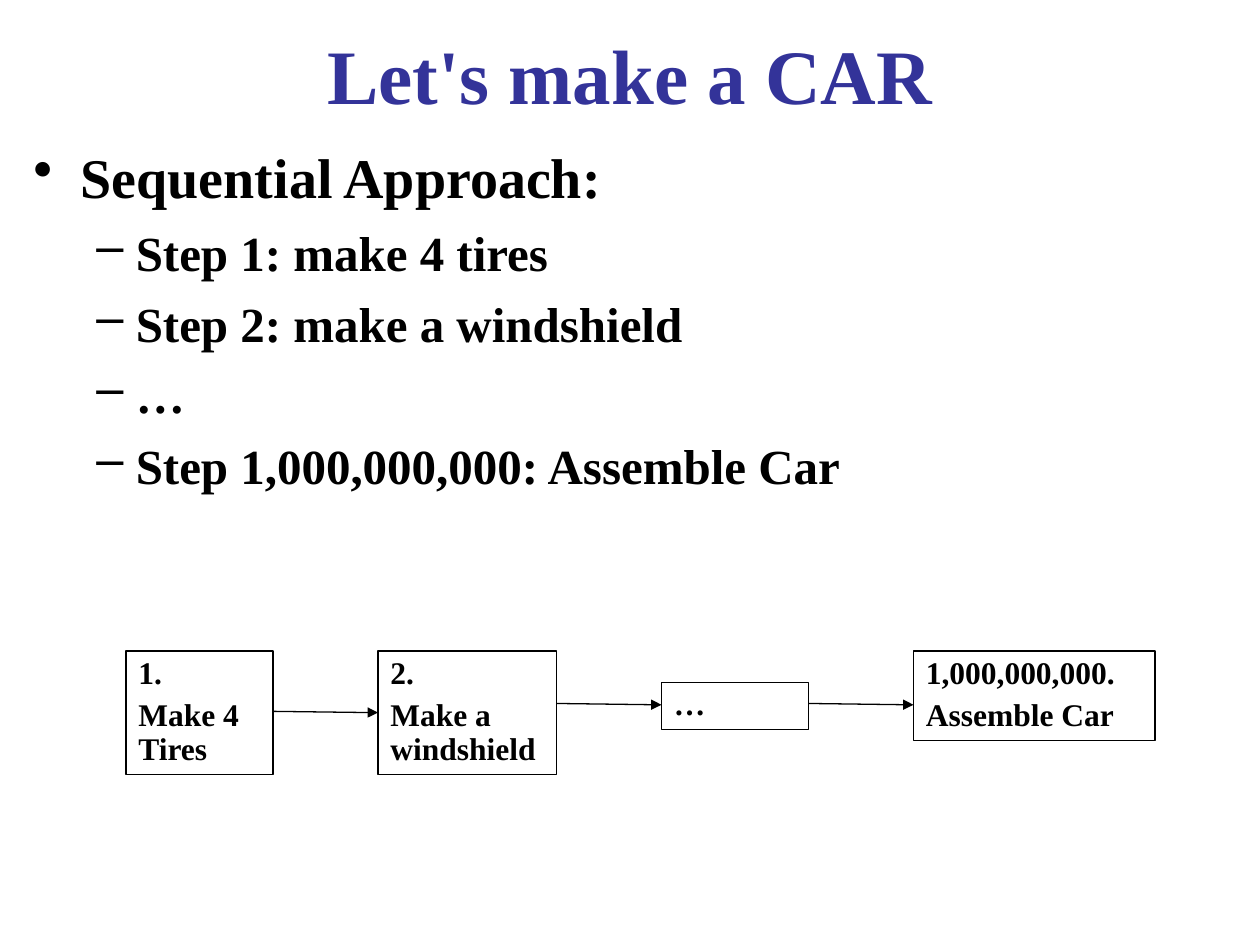
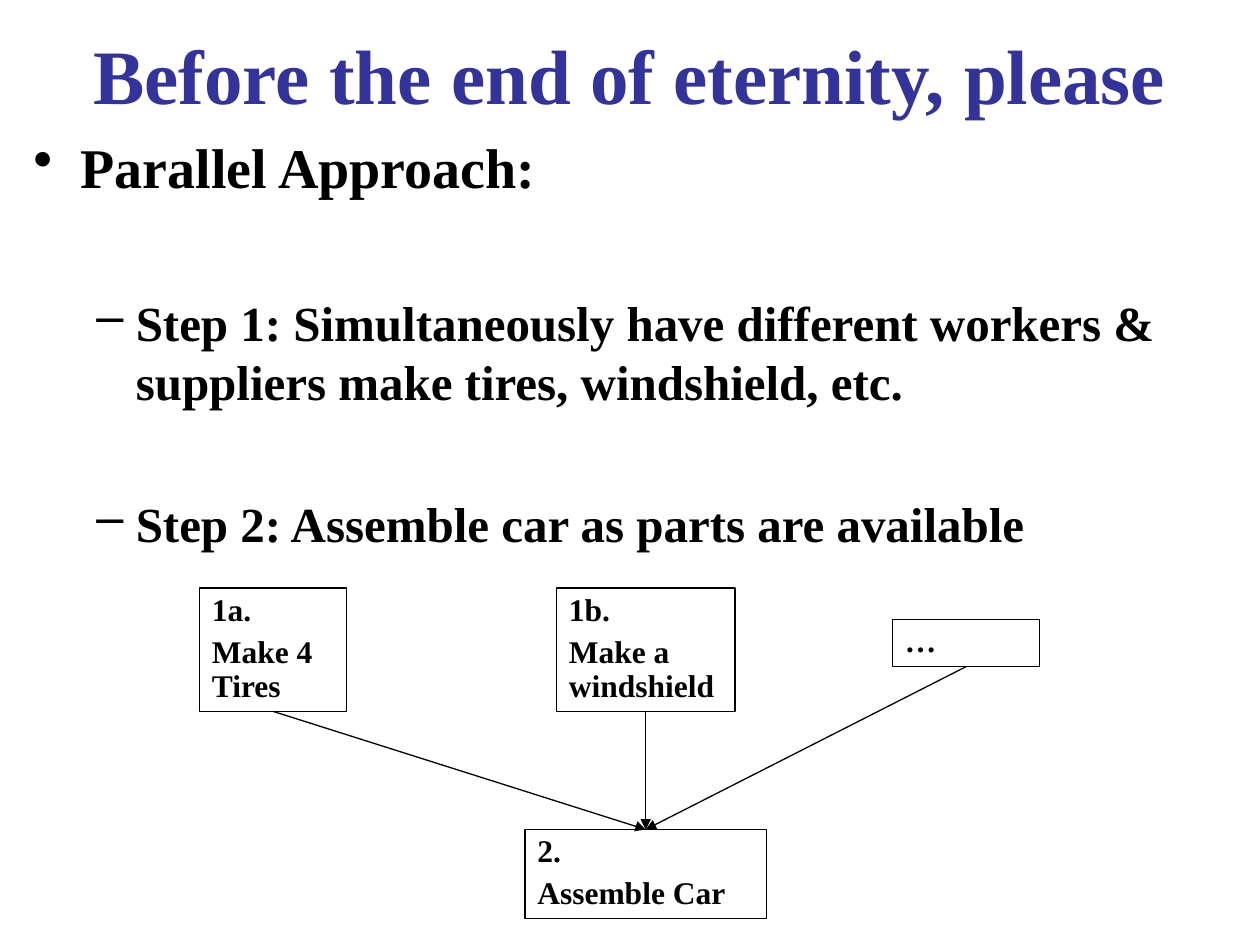
"""Build two slides that compare sequential and parallel car making."""
from typing import NamedTuple

from lxml.etree import SubElement
from pptx import Presentation
from pptx.dml.color import RGBColor
from pptx.enum.shapes import MSO_CONNECTOR as CONN, MSO_SHAPE as SHAPE
from pptx.enum.text import MSO_ANCHOR as ANCHOR, MSO_AUTO_SIZE as FIT, PP_ALIGN as ALIGN
from pptx.oxml.ns import qn
from pptx.util import Pt

PX = 9525
FONT = "Times New Roman"
BLACK = RGBColor(0x00, 0x00, 0x00)
INDIGO = RGBColor(0x33, 0x33, 0x99)
MARGIN, TITLE_TOP, TEXT_W, TITLE_H, BODY_BOTTOM = 16, 16, 928, 80, 704
LINE_RATIO = 1.2


class Level(NamedTuple):
    size: int
    before: int
    left: int
    hanging: int
    bullet: str


LEVELS = (Level(32, 8, 36, 36, "•"), Level(28, 7, 78, 30, "–"))


class Item(NamedTuple):
    text: str
    level: int = 1
    gap_level: int | None = None


class Step(NamedTuple):
    x: int
    y: int
    w: int
    h: int
    lines: tuple[str, ...]

    @property
    def right(self) -> int:
        return self.x + self.w

    @property
    def center(self) -> int:
        return self.x + self.w // 2

    @property
    def bottom(self) -> int:
        return self.y + self.h


def tires(x: int, y: int, number: str) -> Step:
    return Step(x, y, 112, 94, (number, "Make 4 Tires"))


def windshield(x: int, y: int, number: str) -> Step:
    return Step(x, y, 136, 94, (number, "Make a windshield"))


def more(x: int, y: int) -> Step:
    return Step(x, y, 112, 36, ("…",))


def assembly(x: int, y: int, number: str) -> Step:
    return Step(x, y, 184, 68, (number, "Assemble Car"))


def style(p, size: int, color: RGBColor = BLACK) -> None:
    for r in p.runs:
        r.font.name = FONT
        r.font.size = Pt(size)
        r.font.bold = True
        r.font.color.rgb = color


def add_bullet(p, level: Level) -> None:
    pPr = p._p.get_or_add_pPr()
    pPr.set("marL", str(level.left * PX))
    pPr.set("indent", str(-level.hanging * PX))
    color = SubElement(pPr, qn("a:buClr"))
    SubElement(color, qn("a:srgbClr")).set("val", str(BLACK))
    SubElement(pPr, qn("a:buChar")).set("char", level.bullet)


def add_text_box(s, y: int, h: int):
    tf = s.shapes.add_textbox(MARGIN * PX, y * PX, TEXT_W * PX, h * PX).text_frame
    tf.word_wrap = True
    return tf


def add_title(s, text: str) -> None:
    tf = add_text_box(s, TITLE_TOP, TITLE_H)
    tf.vertical_anchor = ANCHOR.MIDDLE
    tf.text = text
    p = tf.paragraphs[0]
    p.alignment = ALIGN.CENTER
    style(p, 44, INDIGO)


def add_body(s, top: int, items: tuple[Item, ...]) -> None:
    tf = add_text_box(s, top, BODY_BOTTOM - top)
    tf.text = "\n".join(item.text for item in items)
    for p, item in zip(tf.paragraphs, items):
        level = LEVELS[item.level]
        before = level.before
        if item.gap_level is not None:
            gap = LEVELS[item.gap_level]
            before += gap.size * LINE_RATIO + gap.before
        p.level = item.level
        p.space_before = Pt(before)
        add_bullet(p, level)
        style(p, level.size)


def add_step(s, step: Step) -> None:
    sp = s.shapes.add_shape(SHAPE.RECTANGLE, *(n * PX for n in step[:4]))
    sp.shadow.inherit = False
    sp.fill.background()
    sp.line.color.rgb = BLACK
    sp.line.width = Pt(0.75)
    tf = sp.text_frame
    tf.word_wrap = True
    tf.auto_size = FIT.SHAPE_TO_FIT_TEXT
    tf.vertical_anchor = ANCHOR.TOP
    tf.text = "\n".join(step.lines)
    for p in tf.paragraphs:
        p.alignment = ALIGN.LEFT
        p.line_spacing = 0.9
        p.space_before = Pt(4.5)
        style(p, 18)


def add_arrow(s, x1: int, y1: int, x2: int, y2: int) -> None:
    c = s.shapes.add_connector(CONN.STRAIGHT, *(n * PX for n in (x1, y1, x2, y2)))
    c.line.color.rgb = BLACK
    c.line.width = Pt(0.75)
    SubElement(c.line._get_or_add_ln(), qn("a:tailEnd")).set("type", "triangle")
    SubElement(c._element.spPr, qn("a:effectLst"))


def add_slide(prs, title: str, body_top: int, items: tuple[Item, ...], steps: tuple[Step, ...]):
    s = prs.slides.add_slide(prs.slide_layouts[6])
    add_title(s, title)
    add_body(s, body_top, items)
    for step in steps:
        add_step(s, step)
    return s


def build_sequential(prs) -> None:
    items = (
        Item("Sequential Approach:", 0),
        Item("Step 1: make 4 tires"),
        Item("Step 2: make a windshield"),
        Item("…"),
        Item("Step 1,000,000,000: Assemble Car"),
    )
    steps = (
        tires(96, 496, "1."),
        windshield(288, 496, "2."),
        more(504, 520),
        assembly(696, 496, "1,000,000,000."),
    )
    s = add_slide(prs, "Let's make a CAR", 104, items, steps)
    for step, following, y in zip(steps, steps[1:], (542, 536, 536)):
        add_arrow(s, step.right, y, following.x, y + 1)


def build_parallel(prs) -> None:
    items = (
        Item("Parallel Approach:", 0),
        Item("Step 1: Simultaneously have different workers & suppliers "
             "make tires, windshield, etc.", gap_level=0),
        Item("Step 2: Assemble car as parts are available", gap_level=1),
    )
    parts = (tires(152, 448, "1a."), windshield(424, 448, "1b."), more(680, 472))
    goal = assembly(400, 632, "2.")
    s = add_slide(prs, "Before the end of eternity, please", 96, items, (*parts, goal))
    for part in parts:
        add_arrow(s, part.center, part.bottom, goal.center, goal.y)


def main() -> None:
    prs = Presentation()
    prs.slide_width, prs.slide_height = 960 * PX, 720 * PX
    build_sequential(prs)
    build_parallel(prs)
    prs.save("out.pptx")


if __name__ == "__main__":
    main()
